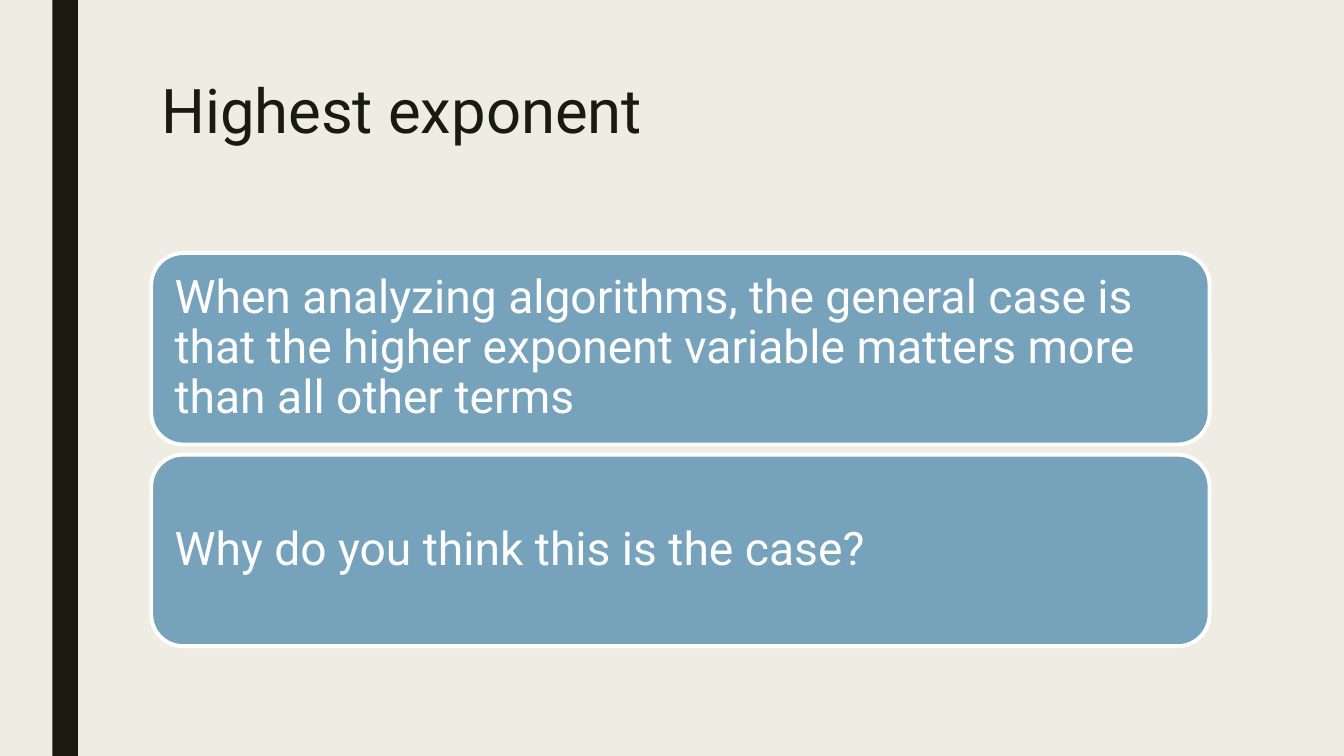
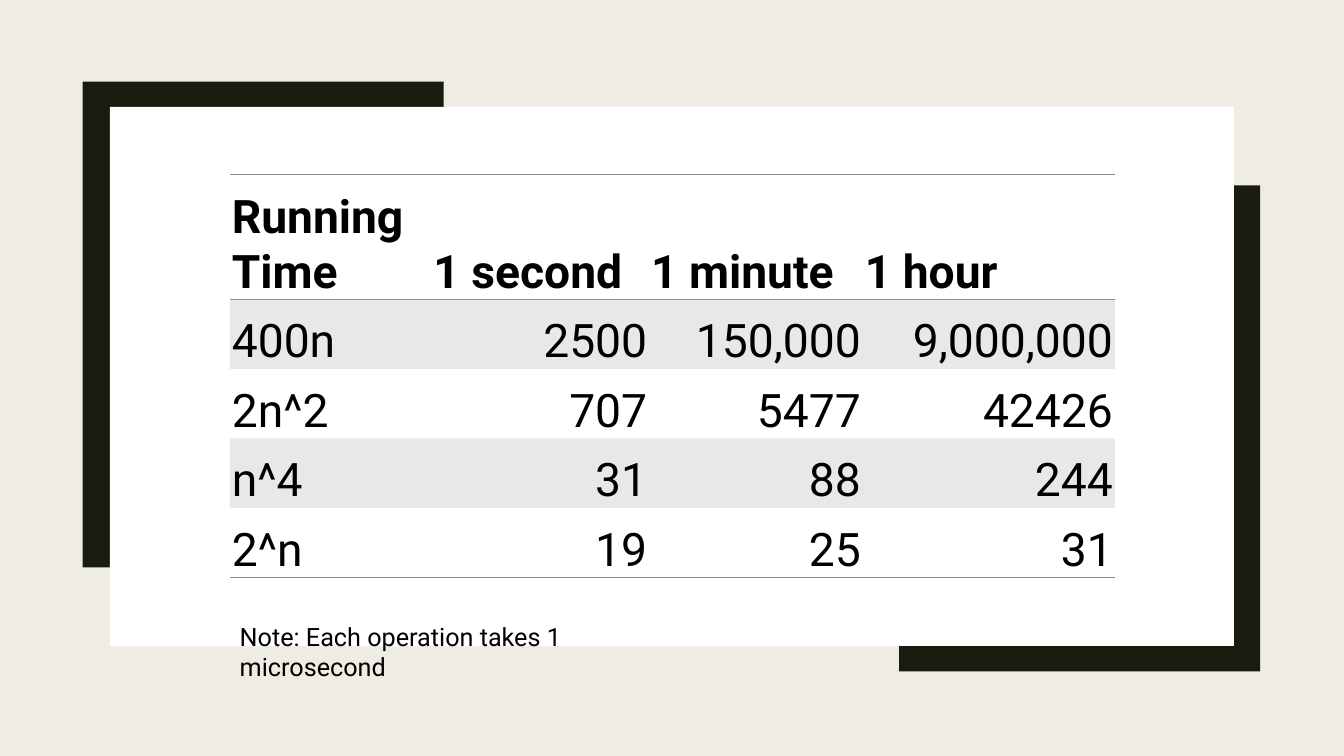
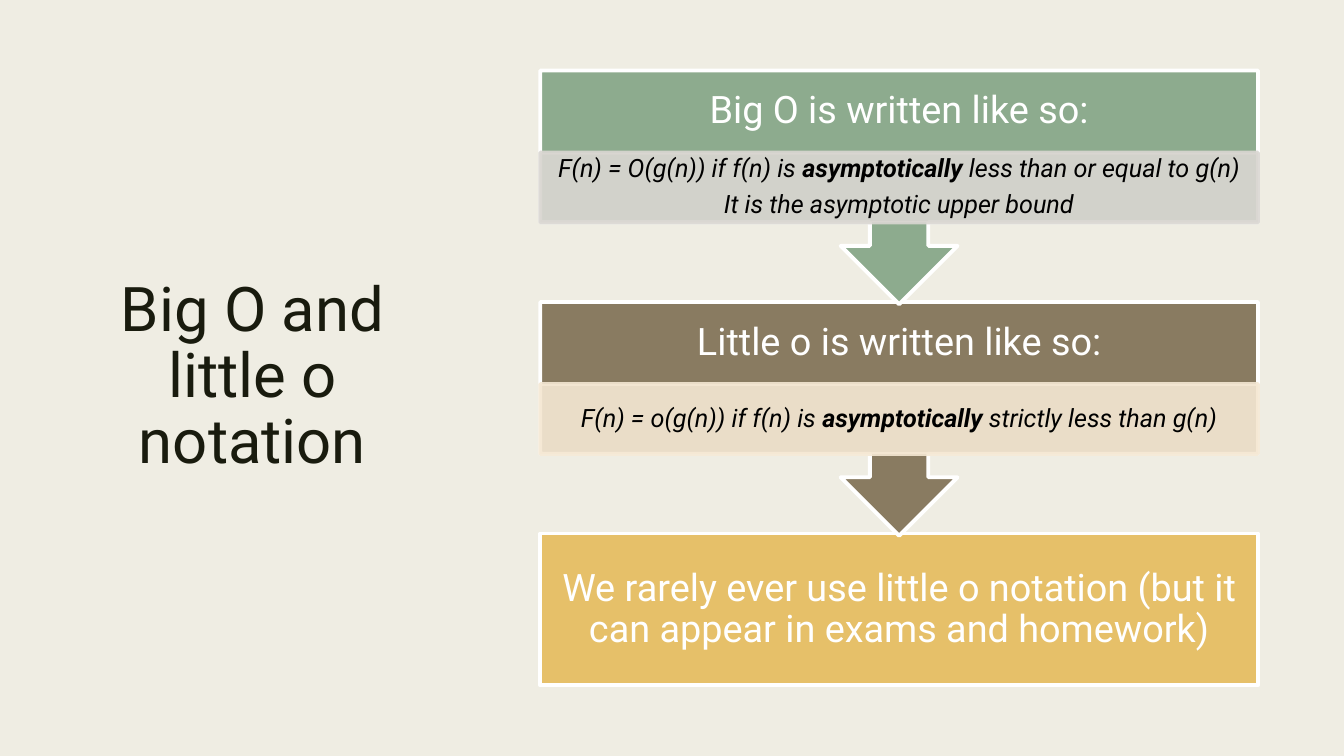
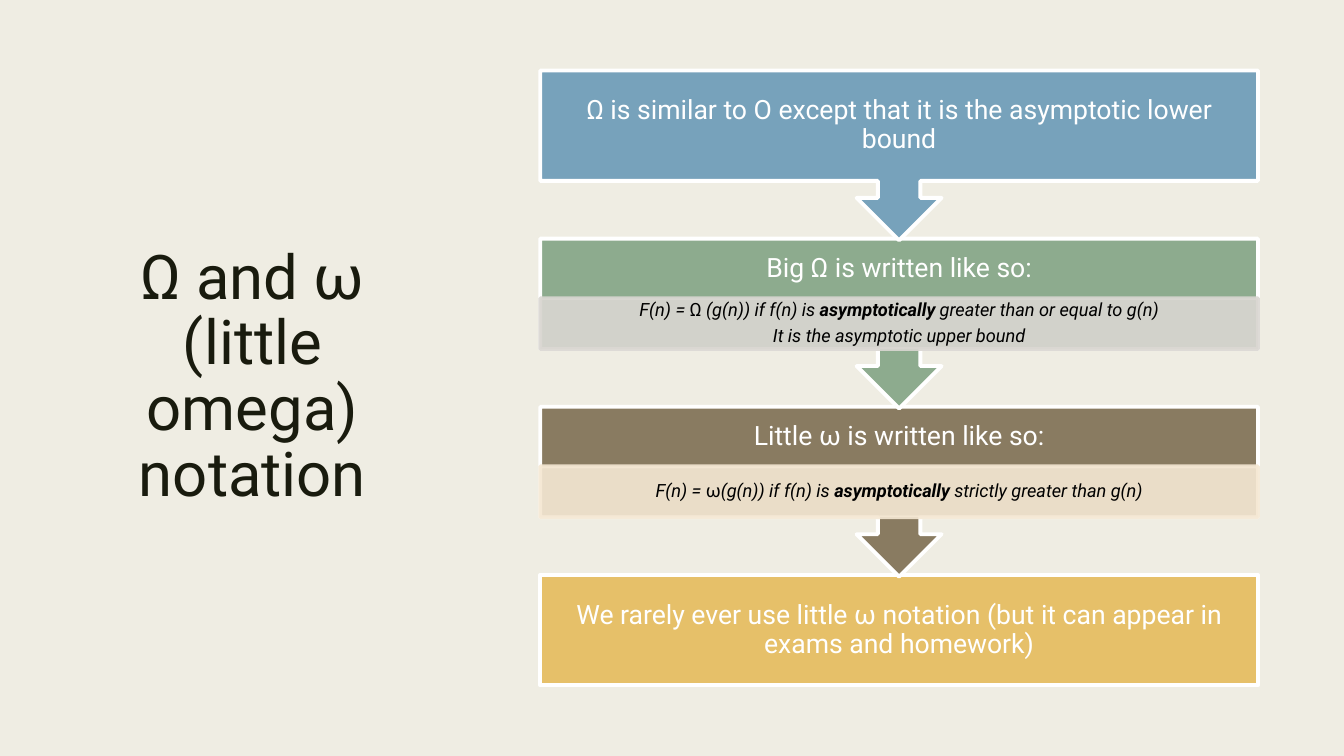
"""Build four slides on algorithm growth rates and asymptotic notation."""
from dataclasses import dataclass
from typing import Any, NamedTuple, Sequence

from lxml import etree
from pptx import Presentation
from pptx import util as u
from pptx.dml.color import RGBColor
from pptx.enum import shapes, text
from pptx.oxml import ns

WIDTH, HEIGHT = u.Inches(13.33), u.Inches(7.5)
FONT = "Roboto"
COLORS = {
    "paper": "EFEDE3", "ink": "191B0E", "white": "FFFFFF", "black": "000000",
    "blue": "77A2BB", "green": "8DAB8E", "brown": "897B61", "gold": "E6C069",
    "green_tint": "DAD7D2", "brown_tint": "F5E8D4", "gray": "8C8D86",
}
RECT = shapes.MSO_SHAPE.RECTANGLE
ROUND = shapes.MSO_SHAPE.ROUNDED_RECTANGLE
CALLOUT = shapes.MSO_SHAPE.DOWN_ARROW_CALLOUT
LEFT, CENTER, RIGHT = text.PP_ALIGN.LEFT, text.PP_ALIGN.CENTER, text.PP_ALIGN.RIGHT
TOP, MIDDLE, BOTTOM = text.MSO_ANCHOR.TOP, text.MSO_ANCHOR.MIDDLE, text.MSO_ANCHOR.BOTTOM
BODY_SHARE, PITCH_SHARE, DETAIL_SHARE = 0.65, 0.99, 0.46
NO_STYLE = "{2D5ABB26-0587-4C30-8999-92F81FD0307C}"


class Area(NamedTuple):
    """A rectangle in percent of the slide's size."""
    left: float
    top: float
    width: float
    height: float


class Span(NamedTuple):
    """A stretch of text in one style."""
    words: str
    bold: bool = False
    italic: bool = False


class Step(NamedTuple):
    """A stage of a flow, with optional detail lines below its heading."""
    heading: str
    color: str
    details: Sequence[Sequence[Span]] = ()


@dataclass(frozen=True)
class Style:
    """How the text of a box looks; insets are in inches."""
    size: float
    color: str
    align: Any = LEFT
    anchor: Any = TOP
    inset_x: float = 0.1
    inset_y: float = 0.05
    spacing: float = 1.0
    after: float = 0
    extra_bottom: int = 0


TITLE = Style(44, "ink", spacing=0.89)
SIDE_TITLE = Style(44, "ink", CENTER, MIDDLE, spacing=0.89)
CARD = Style(33, "white", LEFT, MIDDLE, 0.14, 0.14, 0.9, 0.35)
NOTE = Style(18, "black")
CELL = Style(33, "black", LEFT, BOTTOM, 0.02, 0.02)
FLOW = Area(40.2, 9.33, 53.4, 81.33)
GRID = Area(17.1, 23.07, 65.85, 53.33)
GRID_COLUMNS = (15, 16.2, 15.9, 18.75)
GRID_ROWS = (16.53, 9.2, 9.2, 9.2, 9.2)
RUNNING_TIMES = (
    ("Running Time", "1 second", "1 minute", "1 hour"),
    ("400n", "2500", "150,000", "9,000,000"),
    ("2n^2", "707", "5477", "42426"),
    ("n^4", "31", "88", "244"),
    ("2^n", "19", "25", "31"),
)
BRACKET = ((90.38, 24.53), (93.75, 24.53), (93.75, 88.8),
           (66.9, 88.8), (66.9, 83.2), (90.38, 83.2))
ASYMPTOTICALLY = Span("asymptotically", True, True)
UPPER_BOUND = (Span("It is the asymptotic upper bound", italic=True),)


def across(percent: float) -> int:
    """Turn a share of the slide's width into a length."""
    return round(WIDTH * percent / 100)


def down(percent: float) -> int:
    """Turn a share of the slide's height into a length."""
    return round(HEIGHT * percent / 100)


def place(area: Area) -> tuple[int, int, int, int]:
    """Turn an area into left, top, width and height."""
    return across(area.left), down(area.top), across(area.width), down(area.height)


def apply(target: Any, values: dict[str, Any]) -> None:
    """Set each named attribute on the target."""
    for name, value in values.items():
        setattr(target, name, value)


def paint(fill: Any, color: str, alpha: int = 100) -> None:
    """Give a fill one colour, with an opacity in percent."""
    fill.solid()
    fill.fore_color.rgb = RGBColor.from_string(COLORS[color])
    if alpha < 100:
        holder = fill._xPr.find(ns.qn("a:solidFill"))
        etree.SubElement(holder[0], ns.qn("a:alpha"), val=str(alpha * 1000))


def write(frame: Any, paragraphs: Sequence[Sequence[Span]], style: Style) -> None:
    """Fill a text frame with styled paragraphs."""
    apply(frame, {
        "word_wrap": True, "vertical_anchor": style.anchor,
        "margin_left": u.Inches(style.inset_x), "margin_right": u.Inches(style.inset_x),
        "margin_top": u.Inches(style.inset_y),
        "margin_bottom": u.Inches(style.inset_y) + style.extra_bottom,
    })
    for index, spans in enumerate(paragraphs):
        para = frame.add_paragraph() if index else frame.paragraphs[0]
        apply(para, {"alignment": style.align, "line_spacing": style.spacing,
                     "space_after": u.Pt(style.size * style.after)})
        for span in spans:
            run = para.add_run()
            run.text = span.words
            apply(run.font, {"name": FONT, "size": u.Pt(style.size),
                             "bold": span.bold, "italic": span.italic})
            run.font.color.rgb = RGBColor.from_string(COLORS[style.color])


def add_text(page: Any, area: Area, words: str, style: Style) -> None:
    """Add a text box with one paragraph."""
    write(page.shapes.add_textbox(*place(area)).text_frame, [[Span(words)]], style)


def add_block(page: Any, kind: Any, area: Area, color: str,
              border: str = "", alpha: int = 100) -> Any:
    """Add a filled shape, outlined if a border colour is given."""
    box = page.shapes.add_shape(kind, *place(area))
    box.shadow.inherit = False
    paint(box.fill, color, alpha)
    if border:
        box.line.width = u.Pt(2.75)
        paint(box.line.fill, border, alpha)
    else:
        box.line.fill.background()
    return box


def add_bracket(page: Any, points: Sequence[tuple[float, float]]) -> None:
    """Add one L-shaped corner bracket."""
    corners = [(across(x), down(y)) for x, y in points]
    builder = page.shapes.build_freeform(*corners[0], scale=1.0)
    builder.add_line_segments(corners[1:], close=True)
    bracket = builder.convert_to_shape()
    bracket.shadow.inherit = False
    paint(bracket.fill, "ink")
    bracket.line.fill.background()


def add_rule(cell: Any, side: str) -> None:
    """Draw a thin border on one side of a cell."""
    props = cell._tc.get_or_add_tcPr()
    border = etree.Element(ns.qn(f"a:{side}"), w=str(u.Pt(1)))
    fill = etree.SubElement(border, ns.qn("a:solidFill"))
    etree.SubElement(fill, ns.qn("a:srgbClr"), val=COLORS["gray"])
    props.insert(len(props.findall(ns.qn("a:lnT"))), border)


def add_running_times(page: Any) -> None:
    """Add the table of running times."""
    table = page.shapes.add_table(len(GRID_ROWS), len(GRID_COLUMNS), *place(GRID)).table
    apply(table, {"first_row": False, "horz_banding": False})
    table._tbl.tblPr.find(ns.qn("a:tableStyleId")).text = NO_STYLE
    for column, share in zip(table.columns, GRID_COLUMNS):
        column.width = across(share)
    for row, share in zip(table.rows, GRID_ROWS):
        row.height = down(share)
    for r, values in enumerate(RUNNING_TIMES):
        for c, value in enumerate(values):
            cell = table.cell(r, c)
            align = RIGHT if r and c else LEFT
            write(cell.text_frame, [[Span(value, bold=r == 0)]],
                  Style(CELL.size, CELL.color, align))
            apply(cell, {"vertical_anchor": BOTTOM, "margin_bottom": 0,
                         **{f"margin_{side}": u.Inches(CELL.inset_x)
                            for side in ("left", "right", "top")}})
            if r % 2:
                paint(cell.fill, "gray", 20)
            else:
                cell.fill.background()
            if r == 0:
                add_rule(cell, "lnT")
            if r in (0, len(GRID_ROWS) - 1):
                add_rule(cell, "lnB")


def add_flow(page: Any, steps: Sequence[Step], heading_size: int, detail_size: int) -> None:
    """Stack steps from top to bottom, each pointing at the next."""
    last = len(steps) - 1
    callout = FLOW.height / (BODY_SHARE + last * PITCH_SHARE)
    body = callout * BODY_SHARE
    detail = body * DETAIL_SHARE
    for index, step in reversed(list(enumerate(steps))):
        top = FLOW.top + index * callout * PITCH_SHARE
        kind, height = (RECT, body) if index == last else (CALLOUT, callout)
        box = add_block(page, kind, Area(FLOW.left, top, FLOW.width, height),
                        step.color, "white")
        inset = heading_size / 128
        write(box.text_frame, [[Span(step.heading)]],
              Style(heading_size, "white", CENTER, MIDDLE, inset, inset, 0.9, 0.35,
                    down(detail) if step.details else 0))
        if step.details:
            tint = f"{step.color}_tint"
            strip = add_block(page, RECT,
                              Area(FLOW.left, top + body - detail, FLOW.width, detail),
                              tint, tint, 90)
            write(strip.text_frame, step.details,
                  Style(detail_size, "black", CENTER, MIDDLE,
                        detail_size / 128, detail_size / 600, 0.9, 0.35))


def add_page(deck: Any) -> Any:
    """Add a blank page on the paper colour."""
    page = deck.slides.add_slide(deck.slide_layouts[6])
    paint(page.background.fill, "paper")
    return page


def build_exponent(page: Any) -> None:
    """Draw the page on the highest exponent."""
    add_block(page, RECT, Area(3.9, 0, 1.9, 100), "ink")
    add_text(page, Area(11.25, 10, 78.75, 21.6), "Highest exponent", TITLE)
    cards = (
        "When analyzing algorithms, the general case is that the higher exponent "
        "variable matters more than all other terms",
        "Why do you think this is the case?",
    )
    for index, words in enumerate(cards):
        area = Area(11.25, 33.47 + index * 26.67, 78.75, 25.33)
        card = add_block(page, ROUND, area, "blue", "white")
        write(card.text_frame, [[Span(words)]], CARD)


def build_running_times(page: Any) -> None:
    """Draw the framed table page."""
    add_bracket(page, BRACKET)
    add_bracket(page, [(99.9 - x, 99.6 - y) for x, y in BRACKET])
    add_block(page, RECT, Area(8.18, 14.13, 83.63, 71.33), "white")
    add_running_times(page)
    add_text(page, Area(17.1, 81.47, 35, 5.33),
             "Note: Each operation takes 1 microsecond", NOTE)


def build_notation(page: Any, title: str, steps: Sequence[Step],
                   heading_size: int, detail_size: int) -> None:
    """Draw a page with a side title and a flow."""
    add_text(page, Area(5.25, 9.33, 27.08, 81.33), title, SIDE_TITLE)
    add_flow(page, steps, heading_size, detail_size)


def formula(*parts: Span, ending: str) -> tuple[Span, ...]:
    """Compose a definition line."""
    return (*parts, ASYMPTOTICALLY, Span(ending, italic=True))


BIG_O_STEPS = (
    Step("Big O is written like so:", "green", (
        formula(Span("F(n) = O(g(n)) if f(n) is ", italic=True),
                ending=" less than or equal to g(n)"), UPPER_BOUND)),
    Step("Little o is written like so:", "brown", (
        formula(Span("F(n) = o(g(n)) if f(n) is ", italic=True),
                ending=" strictly less than g(n)"),)),
    Step("We rarely ever use little o notation (but it can appear in exams and homework)",
         "gold"),
)
OMEGA_START = Span("F(n) = ", italic=True)
OMEGA_MIDDLE = Span("(g(n)) if f(n) is ", italic=True)
OMEGA_STEPS = (
    Step("Ω is similar to O except that it is the asymptotic lower bound", "blue"),
    Step("Big Ω is written like so:", "green", (
        formula(OMEGA_START, Span("Ω "), OMEGA_MIDDLE,
                ending=" greater than or equal to g(n)"), UPPER_BOUND)),
    Step("Little ω is written like so:", "brown", (
        formula(OMEGA_START, Span("ω"), OMEGA_MIDDLE,
                ending=" strictly greater than g(n)"),)),
    Step("We rarely ever use little ω notation (but it can appear in exams and homework)",
         "gold"),
)


def main() -> None:
    """Build and save the deck."""
    deck = Presentation()
    apply(deck, {"slide_width": WIDTH, "slide_height": HEIGHT})
    build_exponent(add_page(deck))
    build_running_times(add_page(deck))
    build_notation(add_page(deck), "Big O and little o notation", BIG_O_STEPS, 27, 18)
    build_notation(add_page(deck), "Ω and ω (little omega) notation", OMEGA_STEPS, 19, 13)
    deck.save("out.pptx")


if __name__ == "__main__":
    main()
